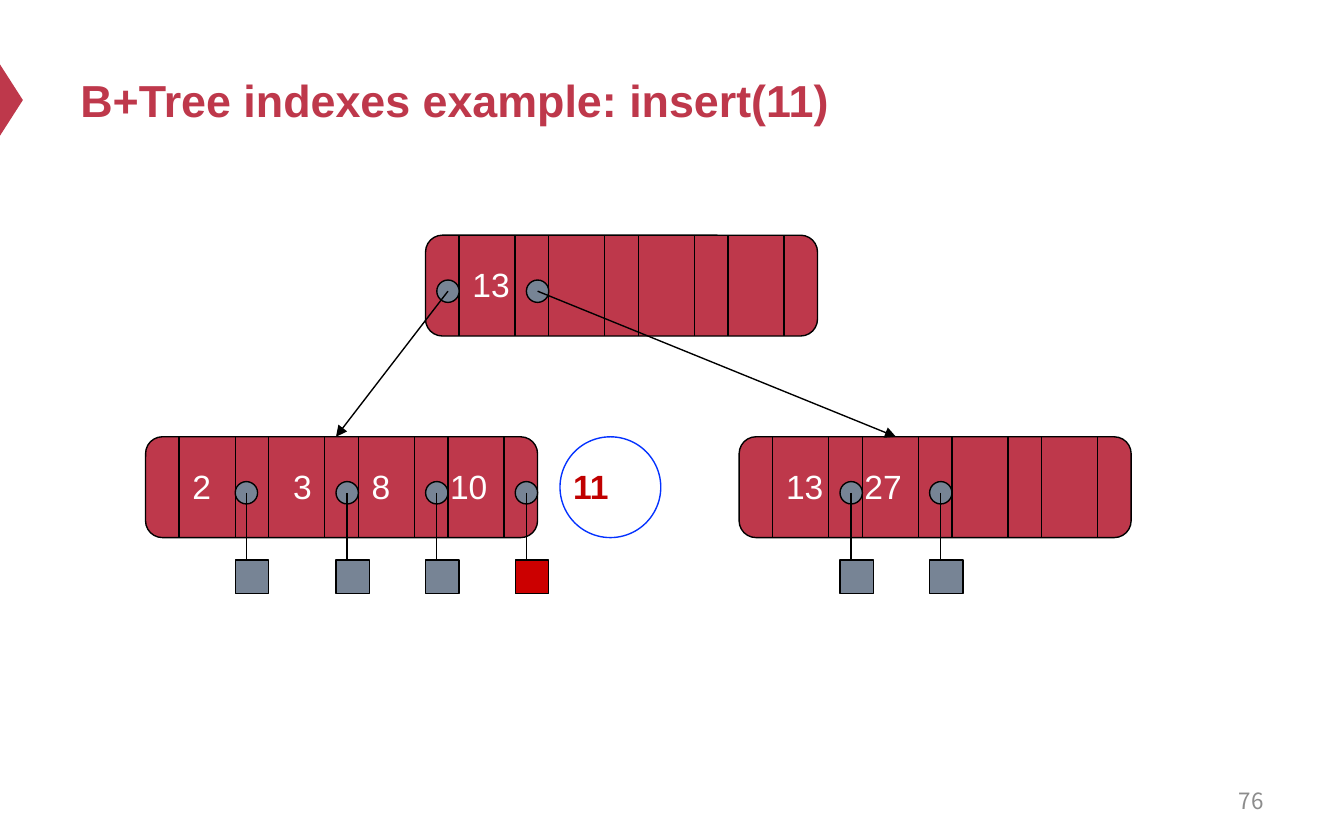
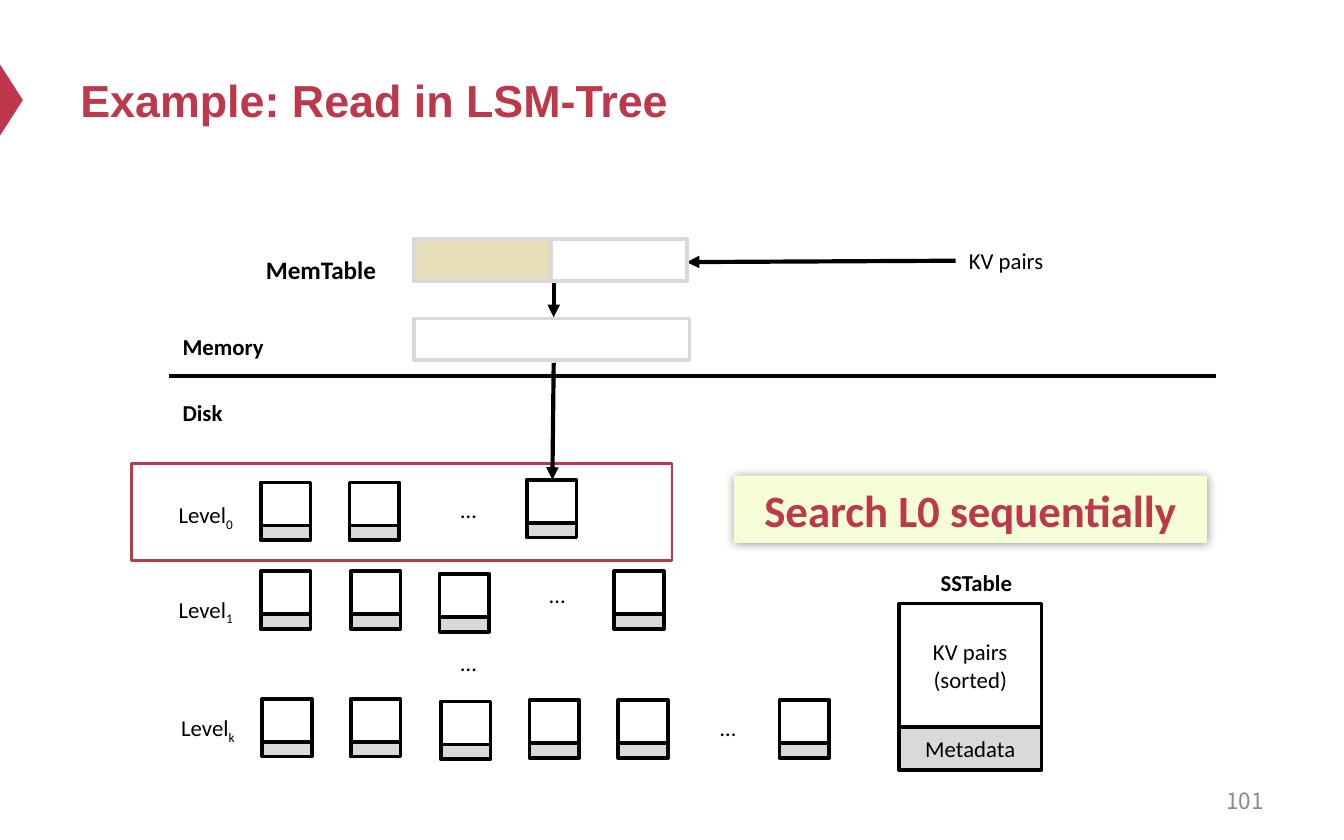
"""Build two slides on database indexes: a B+Tree insert and an LSM-Tree read."""
import dataclasses
import typing

import lxml.etree
import pptx
import pptx.dml.color
import pptx.enum.shapes
import pptx.enum.text
import pptx.oxml.ns
import pptx.shapes.autoshape
import pptx.shapes.shapetree
import pptx.slide
import pptx.text.text
import pptx.util

SHAPE = pptx.enum.shapes.MSO_SHAPE
ALIGN = pptx.enum.text.PP_ALIGN
ANCHOR = pptx.enum.text.MSO_ANCHOR
Canvas = typing.Union[pptx.shapes.shapetree.SlideShapes, pptx.shapes.shapetree.GroupShapes]

SLIDE_WIDTH = pptx.util.Inches(10)
SLIDE_HEIGHT = pptx.util.Inches(6.25)
CRIMSON, SLATE, BLACK, WHITE = "BE384B", "778495", "000000", "FFFFFF"
GRAY, NUMBER_GRAY, SAND, CREAM = "D9D9D9", "8C8C8C", "E6DEB9", "F5FED6"
RED, DARK_RED, BLUE = "CC0000", "C00000", "0432FF"


@dataclasses.dataclass(frozen=True)
class Box:
    left: int
    top: int
    width: int
    height: int


@dataclasses.dataclass(frozen=True)
class Grid:
    columns: float
    rows: float

    def x(self, column: float) -> int:
        return round(SLIDE_WIDTH * column / self.columns)

    def y(self, row: float) -> int:
        return round(SLIDE_HEIGHT * row / self.rows)

    def box(self, column: float, row: float, width: float, height: float) -> Box:
        return Box(self.x(column), self.y(row), self.x(width), self.y(height))


@dataclasses.dataclass(frozen=True)
class Style:
    font: str
    size: float
    color: str = BLACK
    bold: bool = False
    align: ALIGN = ALIGN.LEFT
    anchor: ANCHOR = ANCHOR.TOP
    wrap: bool = False


@dataclasses.dataclass(frozen=True)
class Outline:
    color: str
    width: float


@dataclasses.dataclass(frozen=True)
class Node:
    column: float
    row: float
    keys: tuple[tuple[str, float], ...]
    pointers: tuple[float, ...]


@dataclasses.dataclass(frozen=True)
class Level:
    subscript: str
    label: tuple[float, float, float]
    tables: tuple[tuple[float, float], ...]


TREE = Grid(120, 75)
LSM = Grid(100, 62.5)

TITLE = Style("Arial", 24, CRIMSON, True, anchor=ANCHOR.MIDDLE, wrap=True)
NUMBER = Style("Noto Sans CJK SC", 12, NUMBER_GRAY, align=ALIGN.RIGHT, anchor=ANCHOR.MIDDLE, wrap=True)
KEY = Style("Arial", 18, WHITE)
NEW_KEY = Style("Arial", 18, DARK_RED, True)
LABEL = Style("Calibri", 12.2)
BOLD_LABEL = Style("Calibri", 12.2, bold=True)
MEMTABLE = Style("Calibri", 13.5, bold=True)
TABLE_TEXT = Style("Calibri", 12.2, align=ALIGN.CENTER, anchor=ANCHOR.MIDDLE, wrap=True)
CALLOUT = Style("Calibri", 24, CRIMSON, True, ALIGN.CENTER, wrap=True)

THIN = Outline(BLACK, 0.75)
TABLE_LINE = Outline(BLACK, 2)
MEMORY_LINE = Outline(GRAY, 2)
ARROW_LINE = Outline(BLACK, 2.25)

NODE_WIDTH, NODE_HEIGHT = 35, 9
NODES = (
    Node(13, 39, (("2", 16), ("3", 25), ("8", 32), ("10", 39)), (21, 30, 38, 46)),
    Node(38, 21, (("13", 41),), (39, 47)),
    Node(66, 39, (("13", 69), ("27", 76)), (75, 83)),
)
NEW_POINTER = 46
CHILD_CENTERS = (30, 80)

LEVELS = (
    Level("0", (12.3, 36.8, 6.5), ((19.4, 35.9), (26, 35.9), (39.2, 35.7))),
    Level("1", (12.3, 43.8, 6.2), ((19.4, 42.5), (26.1, 42.5), (32.7, 42.7), (45.7, 42.5))),
    Level("k", (12.5, 52.6, 6.4),
          ((19.5, 52), (26.1, 52), (32.8, 52.2), (39.4, 52.1), (46, 52.1), (58, 52.1))),
)
ELLIPSES = ((33.3, 36.4), (39.9, 42.7), (33.3, 47.8), (52.6, 52.6))


def rgb(color: str) -> pptx.dml.color.RGBColor:
    return pptx.dml.color.RGBColor.from_string(color)


def write(frame: pptx.text.text.TextFrame, text: str, style: Style, subscript: str = "") -> None:
    frame.text = text
    frame.word_wrap = style.wrap
    frame.vertical_anchor = style.anchor
    if subscript:
        run = frame.paragraphs[0].add_run()
        run.text = subscript
        run._r.get_or_add_rPr().set("baseline", "-25000")
    for paragraph in frame.paragraphs:
        paragraph.alignment = style.align
        for run in paragraph.runs:
            run.font.name = style.font
            run.font.size = pptx.util.Pt(style.size)
            run.font.bold = style.bold
            run.font.color.rgb = rgb(style.color)


def add_text(shapes: Canvas, box: Box, text: str, style: Style, subscript: str = "") -> None:
    text_box = shapes.add_textbox(box.left, box.top, box.width, box.height)
    write(text_box.text_frame, text, style, subscript)


def add_shape(shapes: Canvas, kind: SHAPE, box: Box, fill: typing.Optional[str] = None,
              outline: typing.Optional[Outline] = None) -> pptx.shapes.autoshape.Shape:
    shape = shapes.add_shape(kind, box.left, box.top, box.width, box.height)
    shape.shadow.inherit = False
    if fill:
        shape.fill.solid()
        shape.fill.fore_color.rgb = rgb(fill)
    else:
        shape.fill.background()
    if outline:
        shape.line.color.rgb = rgb(outline.color)
        shape.line.width = pptx.util.Pt(outline.width)
    else:
        shape.line.fill.background()
    return shape


def add_line(shapes: Canvas, grid: Grid, start: tuple[float, float], end: tuple[float, float],
             outline: Outline, arrow: bool = False) -> None:
    connector = shapes.add_connector(
        pptx.enum.shapes.MSO_CONNECTOR.STRAIGHT,
        grid.x(start[0]), grid.y(start[1]), grid.x(end[0]), grid.y(end[1]))
    connector.line.color.rgb = rgb(outline.color)
    connector.line.width = pptx.util.Pt(outline.width)
    properties = connector._element.spPr
    if arrow:
        line = properties.find(pptx.oxml.ns.qn("a:ln"))
        lxml.etree.SubElement(line, pptx.oxml.ns.qn("a:tailEnd"), type="triangle")
    lxml.etree.SubElement(properties, pptx.oxml.ns.qn("a:effectLst"))


def add_glow_shadow(shape: pptx.shapes.autoshape.Shape, blur: float, opacity: int) -> None:
    qn = pptx.oxml.ns.qn
    effects = shape._element.spPr.find(qn("a:effectLst"))
    shadow = lxml.etree.SubElement(effects, qn("a:outerShdw"),
                                   blurRad=str(pptx.util.Pt(blur)), dist="0", dir="0")
    color = lxml.etree.SubElement(shadow, qn("a:srgbClr"), val=BLACK)
    lxml.etree.SubElement(color, qn("a:alpha"), val=str(opacity * 1000))


def add_slide(presentation: typing.Any, title: str, number: int) -> pptx.slide.Slide:
    slide = presentation.slides.add_slide(presentation.slide_layouts[6])
    marker = add_shape(slide.shapes, SHAPE.ISOSCELES_TRIANGLE, LSM.box(-1.8, 6.6, 5.3, 1.7), CRIMSON)
    marker.rotation = 90
    add_text(slide.shapes, LSM.box(5, 2.5, 90, 9.8), title, TITLE)
    add_text(slide.shapes, LSM.box(71.7, 57.9, 23.3, 3.3), str(number), NUMBER)
    return slide


def draw_node(shapes: Canvas, node: Node) -> None:
    add_shape(shapes, SHAPE.ROUNDED_RECTANGLE,
              TREE.box(node.column, node.row, NODE_WIDTH, NODE_HEIGHT), CRIMSON, THIN)
    for slot in range(4):
        for offset in (3, 8):
            column = node.column + 8 * slot + offset
            add_line(shapes, TREE, (column, node.row), (column, node.row + NODE_HEIGHT), THIN)
    for key, column in node.keys:
        add_text(shapes, TREE.box(column, node.row + 2, 2.4 + 1.68 * len(key), 4.8), key, KEY)


def draw_pointer(shapes: Canvas, column: float, row: float, target: tuple[float, float]) -> None:
    add_shape(shapes, SHAPE.OVAL, TREE.box(column, row + 4, 2, 2), SLATE, THIN)
    add_line(shapes, TREE, (column + 1, row + 5), target, THIN, arrow=True)


def draw_record(shapes: Canvas, column: float, row: float) -> None:
    draw_pointer(shapes, column, row, (column + 1, row + 13))
    fill = RED if column == NEW_POINTER else SLATE
    add_shape(shapes, SHAPE.RECTANGLE, TREE.box(column, row + 11, 3, 3), fill, THIN)


def build_tree_slide(presentation: typing.Any) -> None:
    shapes = add_slide(presentation, "B+Tree indexes example: insert(11)", 76).shapes
    for node in NODES:
        draw_node(shapes, node)
    left_leaf, root, right_leaf = NODES
    for leaf in (left_leaf, right_leaf):
        for column in leaf.pointers:
            draw_record(shapes, column, leaf.row)
    for column, center in zip(root.pointers, CHILD_CENTERS):
        draw_pointer(shapes, column, root.row, (center, left_leaf.row))
    add_text(shapes, TREE.box(50, 41, 5.64, 4.8), "11", NEW_KEY)
    add_shape(shapes, SHAPE.OVAL, TREE.box(50, 39, 9, 9), outline=Outline(BLUE, 0.75))


def draw_table(shapes: Canvas, left: float, top: float, width: float, body: float,
               footer: float, texts: tuple[str, str] = ("", "")) -> None:
    parts = ((top, body, None), (top + body, footer, GRAY))
    for (row, height, fill), text in zip(parts, texts):
        shape = add_shape(shapes, SHAPE.RECTANGLE, LSM.box(left, row, width, height), fill, TABLE_LINE)
        if text:
            write(shape.text_frame, text, TABLE_TEXT)


def draw_levels(shapes: Canvas) -> None:
    for level in LEVELS:
        add_text(shapes, LSM.box(*level.label, 3.1), "Level", LABEL, level.subscript)
        for left, top in level.tables:
            draw_table(shapes, left, top, 3.7, 3.2, 1.1)
    for left, top in ELLIPSES:
        add_text(shapes, LSM.box(left, top, 3.7, 3.1), "…", LABEL)


def build_lsm_slide(presentation: typing.Any) -> None:
    shapes = add_slide(presentation, "Example: Read in LSM-Tree", 101).shapes
    add_text(shapes, LSM.box(18.8, 18.4, 11.8, 3.3), "MemTable", MEMTABLE)
    add_text(shapes, LSM.box(71.1, 17.9, 7.8, 3.1), "KV pairs", LABEL)
    add_text(shapes, LSM.box(12.6, 24.3, 8.2, 3.1), "Memory", BOLD_LABEL)
    add_text(shapes, LSM.box(12.6, 29.2, 5.1, 3.1), "Disk", BOLD_LABEL)
    add_shape(shapes, SHAPE.RECTANGLE, LSM.box(30.8, 23.7, 20.5, 3.1), outline=MEMORY_LINE)
    add_line(shapes, LSM, (12.6, 28), (90.5, 28), ARROW_LINE)
    add_line(shapes, LSM, (71.1, 19.4), (51.1, 19.5), ARROW_LINE, arrow=True)

    draw_levels(shapes.add_group_shape().shapes)
    legend = shapes.add_group_shape().shapes
    draw_table(legend, 66.9, 44.9, 10.6, 9.2, 3.2, ("KV pairs\n(sorted)", "Metadata"))
    add_text(legend, LSM.box(69, 41.8, 7.7, 3.1), "SSTable", BOLD_LABEL)

    add_line(shapes, LSM, (41.2, 21), (41.2, 23.6), ARROW_LINE, arrow=True)
    for width, fill in ((20.3, None), (10.2, SAND)):
        add_shape(shapes, SHAPE.RECTANGLE, LSM.box(30.8, 17.8, width, 3.1), fill, MEMORY_LINE)
    callout = add_shape(shapes, SHAPE.RECTANGLE, LSM.box(54.6, 35.4, 35.2, 5), CREAM)
    add_glow_shadow(callout, 5, 40)
    write(callout.text_frame, "Search L0 sequentially", CALLOUT)
    add_shape(shapes, SHAPE.RECTANGLE, LSM.box(9.8, 34.5, 40.2, 7.2), outline=Outline(CRIMSON, 1.5))
    add_line(shapes, LSM, (41.2, 27), (41.1, 35.7), ARROW_LINE, arrow=True)


def main() -> None:
    presentation = pptx.Presentation()
    presentation.slide_width = SLIDE_WIDTH
    presentation.slide_height = SLIDE_HEIGHT
    build_tree_slide(presentation)
    build_lsm_slide(presentation)
    presentation.save("out.pptx")


if __name__ == "__main__":
    main()
